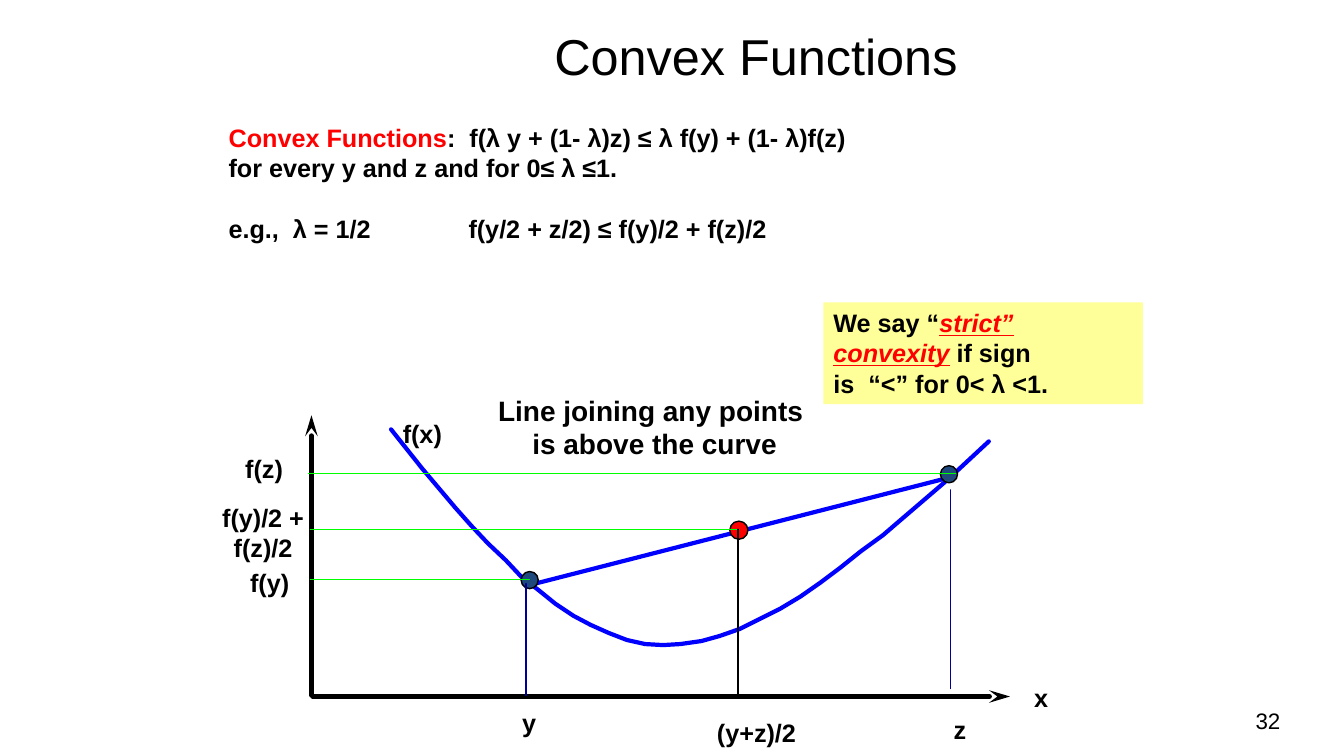
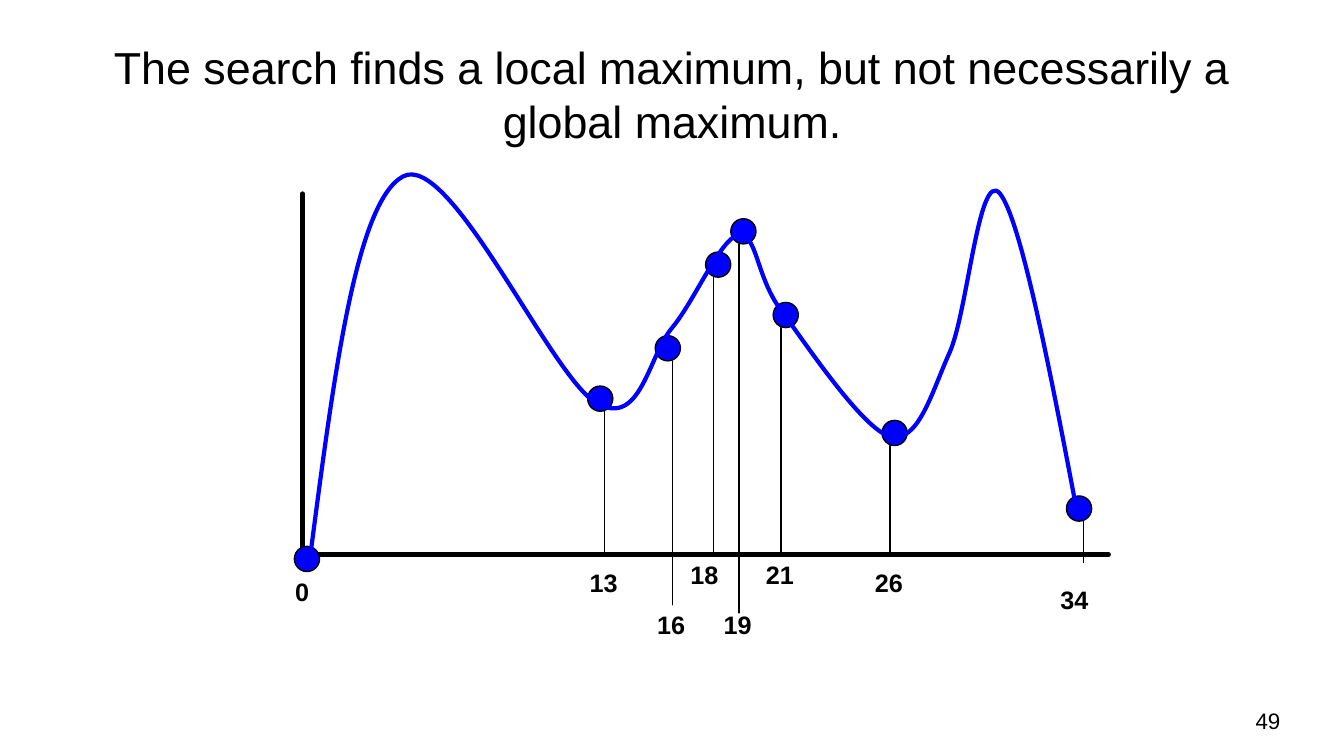
from pptx import Presentation
from pptx.dml.color import RGBColor
from pptx.enum.shapes import MSO_CONNECTOR as LINK, MSO_SHAPE as FORM
from pptx.enum.text import MSO_ANCHOR as ANCHOR, PP_ALIGN as ALIGN
from pptx.oxml.ns import qn
from pptx.util import Inches, Pt
from lxml.etree import SubElement

BLACK = RGBColor(0, 0, 0)
RED = RGBColor(0xFF, 0, 0)
BLUE = RGBColor(0, 0, 0xFF)
NAVY = RGBColor(0, 0, 0x99)
SLATE = RGBColor(0x1F, 0x49, 0x7D)
GREEN = RGBColor(0, 0xFF, 0)
YELLOW = RGBColor(0xFF, 0xFF, 0x99)

VALLEY = [
    (3.88, 4.26), (4.19, 4.65), (4.52, 5.04), (4.68, 5.22), (4.84, 5.39), (5.02, 5.56),
    (5.17, 5.72), (5.35, 5.86), (5.51, 5.99), (5.69, 6.11), (5.86, 6.2), (6.04, 6.28),
    (6.22, 6.35), (6.4, 6.39), (6.58, 6.4), (6.75, 6.39), (6.96, 6.36), (7.14, 6.31),
    (7.34, 6.24), (7.54, 6.14), (7.74, 6.04), (7.94, 5.92), (8.14, 5.78), (8.34, 5.63),
    (8.54, 5.47), (8.76, 5.31), (8.97, 5.13), (9.39, 4.77), (9.81, 4.38),
]
HILLS = [
    (3.08, 5.5),
    (3.31, 3.75), (3.53, 2), (4, 1.75),
    (4.47, 1.5), (5.47, 3.75), (5.92, 4),
    (6.36, 4.25), (6.43, 3.53), (6.67, 3.25),
    (6.9, 2.97), (7.15, 2.36), (7.33, 2.33),
    (7.51, 2.31), (7.5, 2.75), (7.75, 3.08),
    (8, 3.42), (8.56, 4.26), (8.83, 4.33),
    (9.11, 4.4), (9.24, 3.9), (9.42, 3.5),
    (9.6, 3.1), (9.71, 1.67), (9.92, 1.92),
    (10.12, 2.17), (10.4, 3.58), (10.67, 5),
]


def write(frame, paras, size=18, bold=True, color=BLACK, align=ALIGN.LEFT,
          anchor=ANCHOR.MIDDLE, wrap=True):
    """Fill a frame; a paragraph is a string or a list of (text, font options)."""
    frame.word_wrap = wrap
    frame.vertical_anchor = anchor
    for i, para in enumerate(paras):
        line = frame.paragraphs[0] if i == 0 else frame.add_paragraph()
        line.alignment = align
        for words, style in [(para, {})] if isinstance(para, str) else para:
            for j, piece in enumerate(words.split("\n")):
                if j:
                    line.add_line_break()
                run = line.add_run()
                run.text = piece
                font = run.font
                font.name, font.size, font.bold = "Arial", Pt(size), bold
                font.color.rgb = style.get("color", color)
                if style.get("stress"):
                    font.italic = font.underline = True


def text(slide, box, paras, **style):
    """Add a text box."""
    frame = slide.shapes.add_textbox(*map(Inches, box)).text_frame
    write(frame, paras, **style)
    return frame


def label(slide, box, words, size=18):
    """Add a centred, unwrapped label."""
    text(slide, box, [words], size=size, align=ALIGN.CENTER, wrap=False)


def shape(slide, form, box, fill, edge=None):
    """Add a filled preset shape."""
    item = slide.shapes.add_shape(form, *map(Inches, box))
    item.shadow.inherit = False
    item.fill.solid()
    item.fill.fore_color.rgb = fill
    if edge is None:
        item.line.fill.background()
    else:
        item.line.color.rgb = edge
        item.line.width = Pt(1)
    return item


def dot(slide, left, top, size, fill):
    """Add an outlined round point."""
    shape(slide, FORM.OVAL, (left, top, size, size), fill, BLACK)


def stroke(item, color, width):
    """Give a line its colour, width and round ends and joins."""
    item.line.color.rgb = color
    item.line.width = Pt(width)
    edge = item.line._get_or_add_ln()
    edge.set("cap", "rnd")
    SubElement(edge, qn("a:round"))
    return edge


def line(slide, start, end, color=BLACK, width=1, arrow=False):
    """Add a straight line, with an arrowhead at its end if asked."""
    item = slide.shapes.add_connector(LINK.STRAIGHT, *map(Inches, (*start, *end)))
    edge = stroke(item, color, width)
    if arrow:
        SubElement(edge, qn("a:tailEnd"), type="stealth", w="med", len="lg")
    SubElement(item._element.spPr, qn("a:effectLst"))


def trace(slide, points, curved=False):
    """Draw an open blue outline, taking points in threes as cubic arcs if curved."""
    first, *rest = [(Inches(x), Inches(y)) for x, y in points]
    pen = slide.shapes.build_freeform(*first)
    pen.add_line_segments(rest, close=False)
    item = pen.convert_to_shape()
    item.shadow.inherit = False
    item.fill.background()
    stroke(item, BLUE, 3)
    if curved:
        route = next(item._element.iter(qn("a:path")))
        legs = route.findall(qn("a:lnTo"))
        for i in range(0, len(legs), 3):
            arc = SubElement(route, qn("a:cubicBezTo"))
            for leg in legs[i:i + 3]:
                arc.append(leg[0])
                route.remove(leg)


def page(deck, title, box, size, number):
    """Add a slide with its title and number."""
    slide = deck.slides.add_slide(deck.slide_layouts[5])
    head = slide.shapes.title
    head.left, head.top, head.width, head.height = map(Inches, box)
    write(head.text_frame, [title], size=size, bold=False, align=ALIGN.CENTER)
    text(slide, (9.69, 6.95, 3.11, 0.4), [str(number)], size=16, bold=False, align=ALIGN.RIGHT)
    return slide


def convex(deck):
    """Build the slide on convex functions."""
    slide = page(deck, "Convex Functions", (3.25, 0.17, 8.5, 0.76), 36, 32)
    frame = text(slide, (2.17, 1.16, 9.16, 1.31), [
        [("Convex Functions", {"color": RED}), (":  f(λ y + (1- λ)z) ≤ λ f(y) + (1- λ)f(z)", {})],
        "for every y and z and for 0≤ λ ≤1.",
        "e.g.,  λ = 1/2\tf(y/2 + z/2) ≤ f(y)/2 + f(z)/2",
    ])
    case = frame.paragraphs[2]
    case.space_before = Pt(22)
    tabs = SubElement(case._p.get_or_add_pPr(), qn("a:tabLst"))
    SubElement(tabs, qn("a:tab"), pos=str(Inches(2.38)), algn="l")

    label(slide, (4.83, 3.85, 3.33, 0.77), "Line joining any points \nis above the curve", size=20)
    line(slide, (5.31, 5.79), (9.41, 4.74), BLUE, 3)
    line(slide, (3.1, 6.91), (10.02, 6.91), width=3, arrow=True)
    line(slide, (3.09, 6.9), (3.09, 4.12), width=3, arrow=True)
    trace(slide, VALLEY)

    for words, left, top, width in (
        ("f(x)", 3.63, 4.1, 1.12), ("x", 10.16, 6.72, 0.34), ("y", 5.08, 6.97, 0.34),
        ("z", 9.36, 7.04, 0.33), ("f(y)", 2.38, 5.58, 0.59), ("f(z)", 2.33, 4.45, 0.58),
        ("(y+z)/2", 7.01, 7.07, 0.99),
    ):
        label(slide, (left, top, width, 0.4), words)
    label(slide, (1.9, 4.93, 1.42, 0.7), "f(y)/2 +\nf(z)/2")

    for spot, fill, stem, ink, level in (
        ((5.17, 5.67, 0.17), SLATE, (5.22, 5.79, 6.9), NAVY, (3.08, 5.25, 5.75)),
        ((9.33, 4.62, 0.17), SLATE, (9.43, 4.86, 6.83), NAVY, (3.06, 9.48, 4.7)),
        ((7.24, 5.17, 0.18), RED, (7.32, 5.25, 6.92), BLACK, (3.08, 7.33, 5.25)),
    ):
        x, top, foot = stem
        left, right, y = level
        dot(slide, *spot, fill)
        line(slide, (left, y), (right, y), GREEN)
        line(slide, (x, top), (x, foot), ink)

    note = shape(slide, FORM.RECTANGLE, (8.17, 3, 3.17, 1.01), YELLOW)
    write(note.text_frame, [
        [("We say “", {}), ("strict” convexity", {"color": RED, "stress": True}), (" if sign", {})],
        "is  “<” for 0< λ <1.",
    ], anchor=ANCHOR.TOP)


def search(deck):
    """Build the slide on local and global maxima."""
    slide = page(deck, "The search finds a local maximum, but not necessarily a global maximum.",
                 (0.67, 0.3, 12, 1.25), 32, 49)
    line(slide, (3, 5.5), (11, 5.5), width=3)
    line(slide, (3, 1.92), (3, 5.5), width=3)
    for value, place, spot, stem in (
        (0, (2.83, 5.67), (2.92, 5.42), None),
        (13, (5.75, 5.58), (5.83, 3.83), (6, 5.5)),
        (16, (6.42, 6), (6.5, 3.33), (6.67, 6)),
        (18, (6.75, 5.5), (7, 2.5), (7.08, 5.5)),
        (19, (7.08, 6), (7.25, 2.17), (7.33, 6.08)),
        (21, (7.5, 5.5), (7.67, 3), (7.75, 5.5)),
        (26, (8.58, 5.58), (8.75, 4.17), (8.83, 5.5)),
        (34, (10.42, 5.75), (10.58, 4.92), (10.75, 5.58)),
    ):
        text(slide, (*place, 0.58, 0.4), [str(value)], anchor=ANCHOR.TOP)
        dot(slide, *spot, 0.25, BLUE)
        if stem:
            line(slide, (stem[0], spot[1] + 0.25), stem)
    trace(slide, HILLS, curved=True)


def main():
    """Build and save the deck."""
    deck = Presentation()
    deck.slide_width, deck.slide_height = Inches(40 / 3), Inches(7.5)
    convex(deck)
    search(deck)
    deck.save("out.pptx")


if __name__ == "__main__":
    main()
